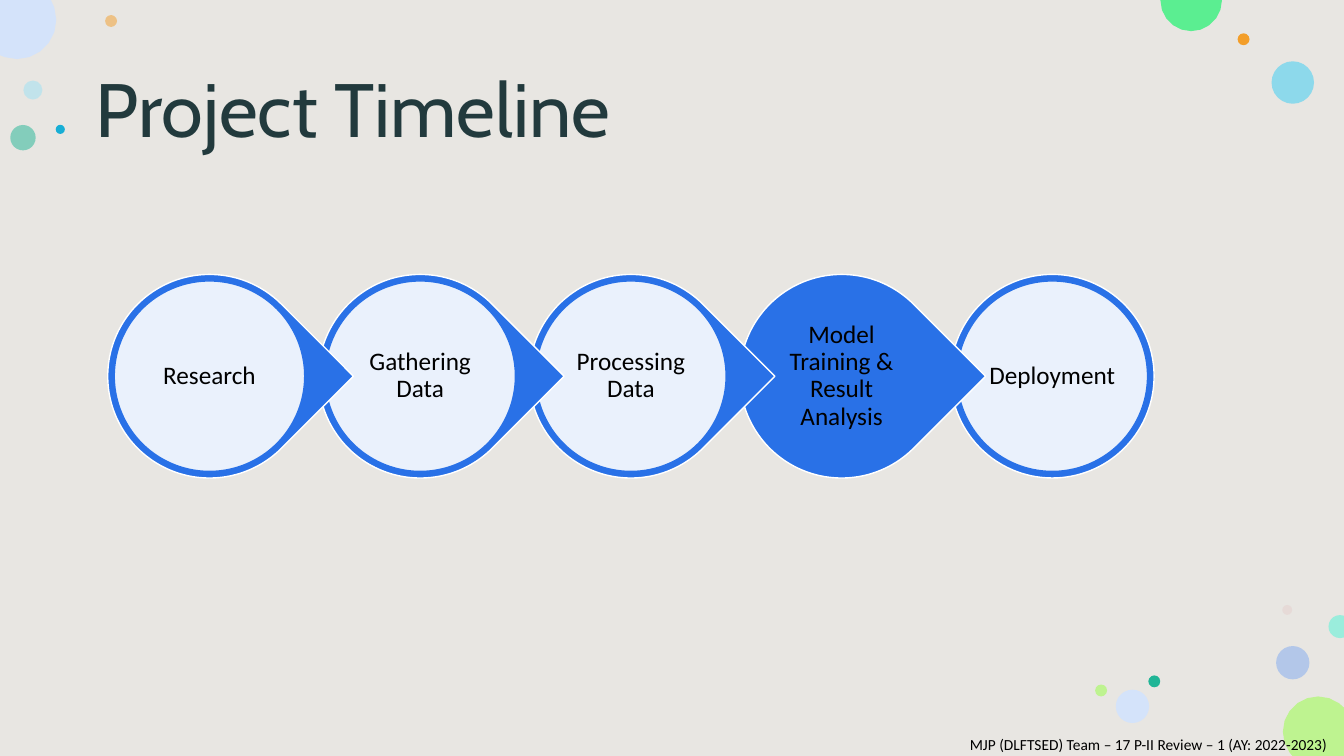
"""Build the project timeline slide with its bubble backdrop."""
from dataclasses import dataclass
from itertools import product
from math import atan2, cos, hypot, pi, sin, sqrt

from lxml import etree
from pptx import Presentation
from pptx.dml.color import RGBColor
from pptx.dml.fill import FillFormat
from pptx.enum.shapes import MSO_SHAPE as SHAPE
from pptx.enum.text import MSO_ANCHOR as ANCHOR, MSO_AUTO_SIZE as AUTO, PP_ALIGN as ALIGN
from pptx.oxml.ns import qn
from pptx.shapes.autoshape import Shape
from pptx.slide import Slide
from pptx.util import Cm, Pt

SLIDE_W, SLIDE_H = 33.87, 19.05
BLUE, WHITE, BLACK = "2971E7", "FFFFFF", "000000"
STEP_X, STEP_Y, STEP_PITCH = 5.28, 9.48, 5.31
RING_D, DISC_D, LABEL_D = 5.13, 4.8, 3.43
ARC_POINTS = 20


@dataclass
class Bubble:
    cx: float
    cy: float
    d: float
    color: str
    alpha: int = 100


@dataclass
class Step:
    label: str
    disc: bool = True
    ring: SHAPE = SHAPE.TEAR


@dataclass
class Label:
    text: str
    x: float
    y: float
    w: float
    h: float
    size: int
    font: str = "Calibri"
    color: str = BLACK
    inset: float | None = None
    anchor: ANCHOR = ANCHOR.MIDDLE
    align: ALIGN = ALIGN.LEFT
    spacing: float = 0.9
    auto: AUTO = AUTO.NONE


BUBBLES = [
    Bubble(0.83, 2.27, 0.48, "9CE2F4", 50),
    Bubble(2.8, 0.53, 0.3, "F39E29", 50),
    Bubble(32.58, 16.7, 0.84, "7FAAF1", 50),
    Bubble(0.58, 3.47, 0.64, "20B596", 50),
    Bubble(32.58, 2.08, 1.07, "6BD4EF", 72),
    Bubble(31.34, 0.99, 0.3, "F39E29"),
    Bubble(32.44, 15.37, 0.25, "E3BEBE", 28),
    Bubble(29.09, 17.17, 0.3, "20B596"),
    Bubble(28.54, 17.8, 0.84, "D4E3FA"),
    Bubble(27.75, 17.4, 0.3, "BEF390"),
    Bubble(33.22, 18.44, 1.78, "BEF390"),
    Bubble(0.43, 0.5, 1.98, "D4E3FA"),
    Bubble(30.02, 0.01, 1.55, "5BEE91"),
    Bubble(1.52, 3.26, 0.23, "17AED5"),
    Bubble(33.77, 15.79, 0.58, "9AEDDC"),
]

STEPS = [
    Step("Research"),
    Step("Gathering Data"),
    Step("Processing Data"),
    Step("Model Training & Result Analysis", disc=False),
    Step("Deployment", ring=SHAPE.OVAL),
]

TITLE = Label("Project Timeline", 2.16, 1.02, 29.62, 3.68, 54, "Cabin", "223A3D")
FOOTER = Label("MJP (DLFTSED) Team – 17 P-II Review – 1 (AY: 2022-2023)", 24.19, 18.39,
               9.68, 0.74, 11, anchor=ANCHOR.TOP, spacing=1.0, auto=AUTO.SHAPE_TO_FIT_TEXT)


def paint(fill: FillFormat, color: str) -> None:
    fill.solid()
    fill.fore_color.rgb = RGBColor.from_string(color)


def style(sp: Shape, color: str, alpha: int = 100, line: str | None = None) -> None:
    sp.shadow.inherit = False
    paint(sp.fill, color)
    if alpha < 100:
        clr = sp._element.spPr.find(f"{qn('a:solidFill')}/{qn('a:srgbClr')}")
        etree.SubElement(clr, qn("a:alpha")).set("val", str(alpha * 1000))
    if line:
        paint(sp.line.fill, line)
        sp.line.width = Pt(1)
    else:
        sp.line.fill.background()


def add_round(s: Slide, kind: SHAPE, cx: float, cy: float, d: float) -> Shape:
    return s.shapes.add_shape(kind, Cm(cx - d / 2), Cm(cy - d / 2), Cm(d), Cm(d))


def clipped_outline(b: Bubble) -> list[tuple[float, float]]:
    r = b.d / 2
    angles = [2 * pi * i / ARC_POINTS for i in range(ARC_POINTS)]
    points = [(b.cx + r * cos(a), b.cy + r * sin(a)) for a in angles]
    for sign in (-1, 1):
        points += [(x, b.cy + sign * sqrt(r**2 - (x - b.cx) ** 2))
                   for x in (0, SLIDE_W) if abs(x - b.cx) < r]
        points += [(b.cx + sign * sqrt(r**2 - (y - b.cy) ** 2), y)
                   for y in (0, SLIDE_H) if abs(y - b.cy) < r]
    points += [(x, y) for x, y in product((0, SLIDE_W), (0, SLIDE_H))
               if hypot(x - b.cx, y - b.cy) < r]
    visible = [(x, y) for x, y in points if 0 <= x <= SLIDE_W and 0 <= y <= SLIDE_H]
    return sorted(visible, key=lambda pt: atan2(pt[1] - b.cy, pt[0] - b.cx))


def add_clipped(s: Slide, b: Bubble) -> Shape:
    start, *others = [(Cm(x), Cm(y)) for x, y in clipped_outline(b)]
    outline = s.shapes.build_freeform(*start)
    outline.add_line_segments(others)
    return outline.convert_to_shape()


def add_bubble(s: Slide, b: Bubble) -> None:
    r = b.d / 2
    inside = r <= b.cx <= SLIDE_W - r and r <= b.cy <= SLIDE_H - r
    sp = add_round(s, SHAPE.OVAL, b.cx, b.cy, b.d) if inside else add_clipped(s, b)
    style(sp, b.color, b.alpha)


def add_label(s: Slide, label: Label) -> None:
    box = s.shapes.add_textbox(Cm(label.x), Cm(label.y), Cm(label.w), Cm(label.h))
    tf = box.text_frame
    tf.text = label.text
    tf.word_wrap = True
    tf.auto_size = label.auto
    tf.vertical_anchor = label.anchor
    if label.inset is not None:
        tf.margin_left = tf.margin_right = tf.margin_top = tf.margin_bottom = Cm(label.inset)
    p = tf.paragraphs[0]
    p.alignment = label.align
    p.line_spacing = label.spacing
    font = p.runs[0].font
    font.name, font.size = label.font, Pt(label.size)
    font.color.rgb = RGBColor.from_string(label.color)


def add_step(s: Slide, step: Step, cx: float) -> None:
    ring = add_round(s, step.ring, cx, STEP_Y, RING_D)
    style(ring, BLUE, line=WHITE)
    if step.ring == SHAPE.TEAR:
        ring.rotation = 45
    if step.disc:
        style(add_round(s, SHAPE.OVAL, cx, STEP_Y, DISC_D), WHITE, 90, BLUE)
    add_label(s, Label(step.label, cx - LABEL_D / 2, STEP_Y - LABEL_D / 2, LABEL_D, LABEL_D,
                       18, inset=0.08, align=ALIGN.CENTER))


def main() -> None:
    prs = Presentation()
    prs.slide_width, prs.slide_height = Cm(SLIDE_W), Cm(SLIDE_H)
    s = prs.slides.add_slide(prs.slide_layouts[6])
    backdrop = s.shapes.add_shape(SHAPE.RECTANGLE, 0, 0, prs.slide_width, prs.slide_height)
    style(backdrop, "E8E6E2")
    for bubble in BUBBLES:
        add_bubble(s, bubble)
    add_label(s, TITLE)
    for i, step in reversed(list(enumerate(STEPS))):
        add_step(s, step, STEP_X + i * STEP_PITCH)
    add_label(s, FOOTER)
    prs.save("out.pptx")


if __name__ == "__main__":
    main()
